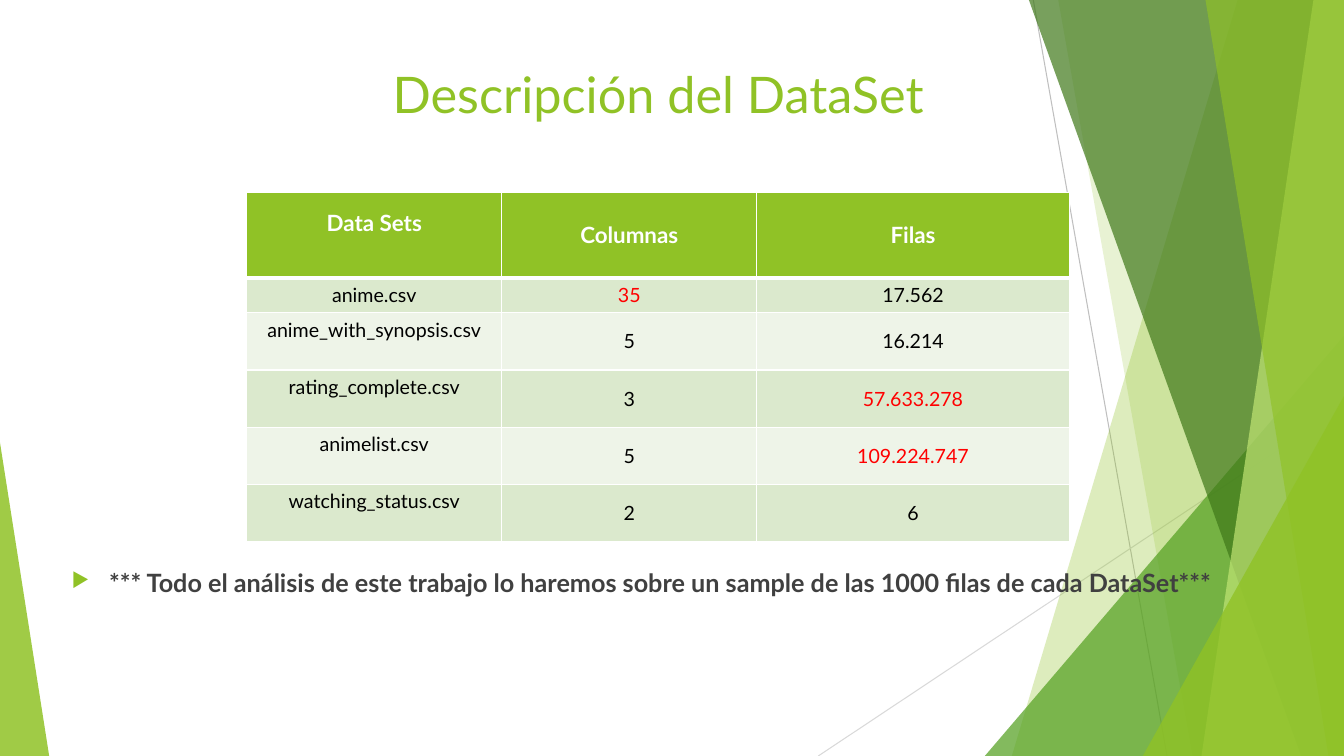
from dataclasses import dataclass

from lxml import etree
from pptx import Presentation
from pptx.dml.color import RGBColor
from pptx.enum.shapes import MSO_CONNECTOR, MSO_SHAPE
from pptx.enum.text import MSO_ANCHOR, PP_ALIGN
from pptx.oxml.ns import qn
from pptx.util import Cm, Pt

STRAIGHT = MSO_CONNECTOR.STRAIGHT
TRIANGLE = MSO_SHAPE.ISOSCELES_TRIANGLE
CENTER = PP_ALIGN.CENTER
TOP, MIDDLE = MSO_ANCHOR.TOP, MSO_ANCHOR.MIDDLE


@dataclass(frozen=True)
class Theme:
    font: str = "Lato"
    green: str = "90C226"
    leaf: str = "54A021"
    forest: str = "3F7819"
    lime: str = "C0E474"
    line_dark: str = "BFBFBF"
    line_light: str = "D9D9D9"
    bands: tuple = ("DBE9CD", "EEF4E8")
    white: str = "FFFFFF"
    black: str = "000000"
    red: str = "FF0000"
    note: str = "404040"
    title_size: int = 36
    note_size: int = 18
    header_size: int = 16
    cell_size: int = 14


THEME = Theme()
SLIDE_W, SLIDE_H = 33.87, 19.05
HEADERS = ["Data Sets", "Columnas", "Filas"]
ROWS = [
    ["anime.csv", "35", "17.562"],
    ["anime_with_synopsis.csv", "5", "16.214"],
    ["rating_complete.csv", "3", "57.633.278"],
    ["animelist.csv", "5", "109.224.747"],
    ["watching_status.csv", "2", "6"],
]
HIGHLIGHTS = {"35", "57.633.278", "109.224.747"}


def rgb(color):
    return RGBColor.from_string(color)


def add_run(p, text, size, color, bold=False):
    r = p.add_run()
    r.text = text
    r.font.name = THEME.font
    r.font.size = Pt(size)
    r.font.bold = bold
    r.font.color.rgb = rgb(color)


def add_line(slide, x1, y1, x2, y2, color):
    line = slide.shapes.add_connector(STRAIGHT, Cm(x1), Cm(y1), Cm(x2), Cm(y2))
    line.line.color.rgb = rgb(color)
    line.line.width = Pt(0.75)
    etree.SubElement(line._element.spPr, qn("a:effectLst"))


def paint(sp, color, opacity):
    sp.shadow.inherit = False
    sp.line.fill.background()
    sp.fill.solid()
    sp.fill.fore_color.rgb = rgb(color)
    clr = sp._element.spPr.find(qn("a:solidFill"))[0]
    etree.SubElement(clr, qn("a:alpha"), val=str(opacity * 1000))


def add_panel(slide, right, bottom, top_x, bottom_x, color, opacity):
    builder = slide.shapes.build_freeform(Cm(top_x), 0)
    corners = [(right, 0), (right, bottom), (bottom_x, bottom)]
    builder.add_line_segments([(Cm(x), Cm(y)) for x, y in corners])
    paint(builder.convert_to_shape(), color, opacity)


def add_triangle(slide, x, y, right, bottom, apex, color, opacity):
    sp = slide.shapes.add_shape(TRIANGLE, Cm(x), Cm(y), Cm(right - x), Cm(bottom - y))
    sp.adjustments[0] = apex
    paint(sp, color, opacity)


def add_backdrop(slide, w, h):
    add_line(slide, 26.04, 0, 29.41, h, THEME.line_dark)
    add_line(slide, w, 10.24, 20.62, h, THEME.line_light)
    add_panel(slide, w, h, 31.19, 25.5, THEME.green, 30)
    add_panel(slide, w, h, 26.67, 30.05, THEME.green, 20)
    add_triangle(slide, 24.82, 8.46, w, h, 1, THEME.leaf, 72)
    add_panel(slide, w, h, 25.93, 32.79, THEME.forest, 70)
    add_panel(slide, w, h, 33.1, 30.28, THEME.lime, 70)
    add_panel(slide, w, h, 30.38, 33.48, THEME.green, 65)
    add_triangle(slide, 28.8, 9.98, w, h, 1, THEME.green, 80)
    add_triangle(slide, 0, 11.15, 1.24, h, 0, THEME.green, 85)


def add_text(slide, x, y, w, h):
    tf = slide.shapes.add_textbox(Cm(x), Cm(y), Cm(w), Cm(h)).text_frame
    tf.word_wrap = True
    tf.vertical_anchor = TOP
    p = tf.paragraphs[0]
    p.alignment = CENTER
    return p


def add_title(slide, x, y, w, h):
    p = add_text(slide, x, y, w, h)
    add_run(p, "Descripción del DataSet", THEME.title_size, THEME.green)


def add_note(slide, x, y, w, h):
    p = add_text(slide, x, y, w, h)
    p.space_before = Pt(10)
    pPr = p._p.get_or_add_pPr()
    pPr.set("marL", str(Cm(0.95)))
    pPr.set("indent", str(-Cm(0.95)))
    clr = etree.SubElement(pPr, qn("a:buClr"))
    etree.SubElement(clr, qn("a:srgbClr"), val=THEME.green)
    etree.SubElement(pPr, qn("a:buSzPct"), val="80000")
    etree.SubElement(pPr, qn("a:buChar"), char="▶")
    text = "*** Todo el análisis de este trabajo lo haremos sobre un sample de las 1000 filas de cada DataSet***"
    add_run(p, text, THEME.note_size, THEME.note, True)


def set_borders(cell, top, bottom):
    tcPr = cell._tc.get_or_add_tcPr()
    widths = {"a:lnL": 1, "a:lnR": 1, "a:lnT": top, "a:lnB": bottom}
    for i, (tag, width) in enumerate(widths.items()):
        ln = etree.Element(qn(tag), w=str(Pt(width)))
        fill = etree.SubElement(ln, qn("a:solidFill"))
        etree.SubElement(fill, qn("a:srgbClr"), val=THEME.white)
        tcPr.insert(i, ln)


def fill_cell(cell, text, row, col):
    header = row == 0
    cell.fill.solid()
    cell.fill.fore_color.rgb = rgb(THEME.green if header else THEME.bands[(row - 1) % 2])
    set_borders(cell, 3 if row == 1 else 1, 3 if header else 1)
    cell.vertical_anchor = TOP if col == 0 and row != 1 else MIDDLE
    if header and col == 0:
        cell.margin_top = Cm(0.42)
    p = cell.text_frame.paragraphs[0]
    p.alignment = CENTER
    if header:
        add_run(p, text, THEME.header_size, THEME.white, True)
    else:
        color = THEME.red if text in HIGHLIGHTS else THEME.black
        add_run(p, text, THEME.cell_size, color)


def add_dataset_table(slide, x, y, w, h):
    data = [HEADERS] + ROWS
    frame = slide.shapes.add_table(len(data), len(HEADERS), Cm(x), Cm(y), Cm(w), Cm(h))
    table = frame.table
    for column, share in zip(table.columns, (0.31, 0.31, 0.38)):
        column.width = Cm(w * share)
    header_h, first_h = 2.15, 0.88
    rest_h = (h - header_h - first_h) / (len(ROWS) - 1)
    for i, values in enumerate(data):
        table.rows[i].height = Cm((header_h, first_h)[i] if i < 2 else rest_h)
        for j, text in enumerate(values):
            fill_cell(table.cell(i, j), text, i, j)


def main():
    prs = Presentation()
    prs.slide_width, prs.slide_height = Cm(SLIDE_W), Cm(SLIDE_H)
    s = prs.slides.add_slide(prs.slide_layouts[6])
    add_backdrop(s, SLIDE_W, SLIDE_H)
    add_title(s, 4.65, 1.47, 23.88, 3.66)
    add_note(s, 1.42, 14.17, 29.49, 2.08)
    add_dataset_table(s, 6.22, 4.85, 20.73, 8.8)
    prs.save("out.pptx")


if __name__ == "__main__":
    main()
